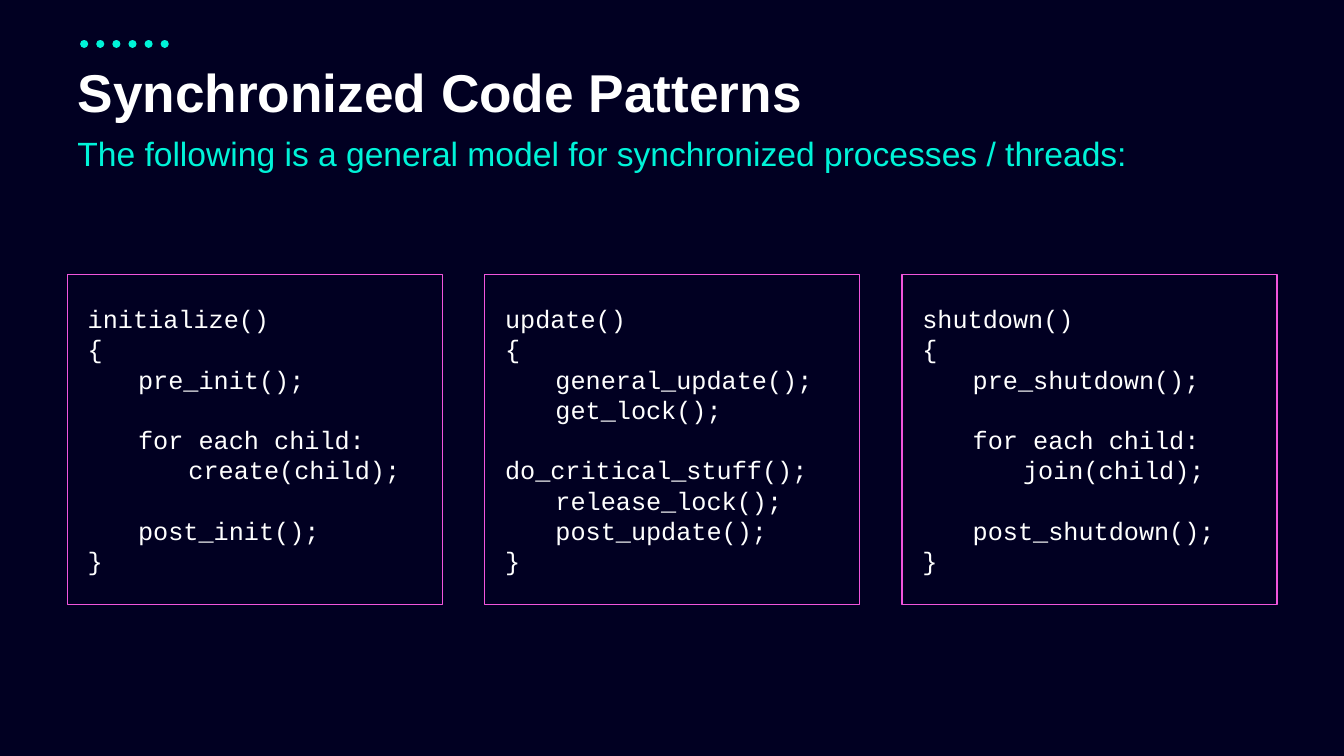
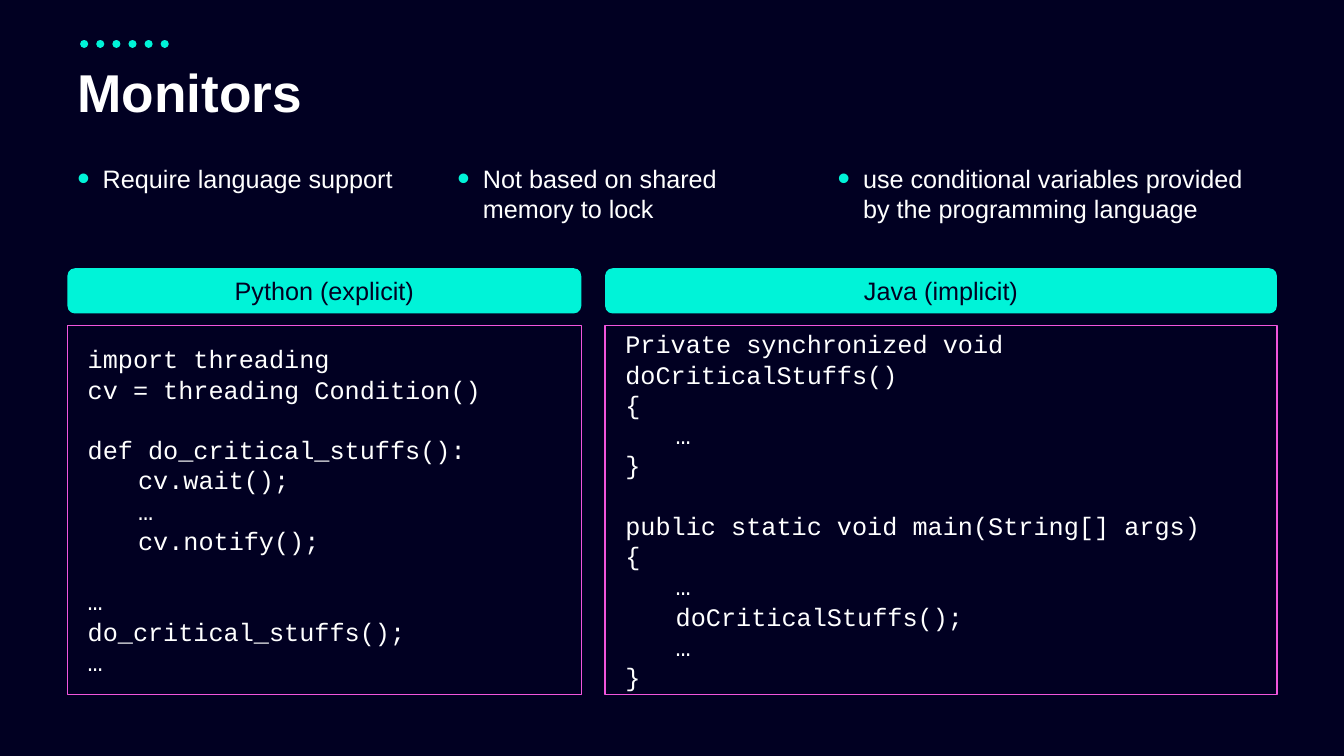
from lxml import etree
from pptx import Presentation
from pptx.dml.color import RGBColor
from pptx.enum import dml, shapes, text
from pptx.oxml import ns
from pptx.util import Cm, Pt

NAVY, TEAL, PINK, WHITE = "010022", "00F3D8", "F155DC", "FFFFFF"
SANS, MONO = "Arial", "Courier New"
LEFT, CONTENT_WIDTH = 1.7, 30.48
TAB_STEP = 1.27

INITIALIZE = """initialize()
{
\tpre_init();

\tfor each child:
\t\tcreate(child);

\tpost_init();
}"""

UPDATE = """update()
{
\tgeneral_update();
\tget_lock();
\tdo_critical_stuff();
\trelease_lock();
\tpost_update();
}"""

SHUTDOWN = """shutdown()
{
\tpre_shutdown();

\tfor each child:
\t\tjoin(child);

\tpost_shutdown();
}"""

PYTHON_MONITOR = """import threading
cv = threading Condition()

def do_critical_stuffs():
\tcv.wait();
\t…
\tcv.notify();

…
do_critical_stuffs();
…"""

JAVA_MONITOR = """Private synchronized void doCriticalStuffs()
{
\t…
}

public static void main(String[] args)
{
\t…
\tdoCriticalStuffs();
\t…
}"""


def color(hex_string):
    return RGBColor.from_string(hex_string)


def add_element(parent, tag, **attributes):
    return etree.SubElement(parent, ns.qn(tag), attributes)


def style(paragraph, size, hex_color, font_name=SANS, bold=False):
    font = paragraph.font
    font.name, font.size, font.bold = font_name, Pt(size), bold
    font.color.rgb = color(hex_color)


def add_dots(slide):
    y = Cm(1.1)
    dots = slide.shapes.add_connector(
        shapes.MSO_CONNECTOR.STRAIGHT, Cm(2.12), y, Cm(4.23), y)
    dots.line.color.rgb = color(TEAL)
    dots.line.width = Pt(5.75)
    dots.line.dash_style = dml.MSO_LINE.ROUND_DOT
    dots.line._get_or_add_ln().set("cap", "rnd")
    add_element(dots._element.spPr, "a:effectLst")


def add_titled_slide(presentation, heading):
    slide = presentation.slides.add_slide(presentation.slide_layouts[5])
    add_dots(slide)
    title = slide.shapes.title
    title.left, title.top = Cm(LEFT), Cm(1.55)
    title.width, title.height = Cm(CONTENT_WIDTH), Cm(1.73)
    frame = title.text_frame
    frame.text = heading
    frame.vertical_anchor = text.MSO_ANCHOR.TOP
    frame.auto_size = text.MSO_AUTO_SIZE.NONE
    paragraph = frame.paragraphs[0]
    paragraph.alignment = text.PP_ALIGN.LEFT
    paragraph.line_spacing = 0.9
    style(paragraph, 38, WHITE, bold=True)
    return slide


def add_text(slide, content, left, top, width, height):
    """Add a wrapping text box and return its only paragraph."""
    box = slide.shapes.add_textbox(Cm(left), Cm(top), Cm(width), Cm(height))
    box.text_frame.word_wrap = True
    box.text_frame.text = content
    return box.text_frame.paragraphs[0]


def add_subtitle(slide, content):
    paragraph = add_text(slide, content, LEFT, 3.33, CONTENT_WIDTH, 1.83)
    paragraph.line_spacing = 0.9
    style(paragraph, 24, TEAL)


def add_bullet(slide, content, left, width):
    paragraph = add_text(slide, content, left, 3.99, width, 1.8)
    properties = paragraph._p.get_or_add_pPr()
    indent = Cm(0.64)
    properties.set("marL", str(indent))
    properties.set("indent", str(-indent))
    bullet_color = add_element(properties, "a:buClr")
    add_element(bullet_color, "a:srgbClr", val=TEAL)
    add_element(properties, "a:buSzPct", val="140000")
    add_element(properties, "a:buFont", typeface=SANS)
    add_element(properties, "a:buChar", char="•")
    style(paragraph, 18, WHITE)


def add_panel(slide, preset, left, top, width, height, fill):
    """Add a filled shape with middle-anchored, wrapping text."""
    panel = slide.shapes.add_shape(
        preset, Cm(left), Cm(top), Cm(width), Cm(height))
    panel.shadow.inherit = False
    panel.fill.solid()
    panel.fill.fore_color.rgb = color(fill)
    panel.text_frame.word_wrap = True
    panel.text_frame.vertical_anchor = text.MSO_ANCHOR.MIDDLE
    return panel


def add_code(slide, code, left, top, width, height):
    panel = add_panel(slide, shapes.MSO_SHAPE.RECTANGLE,
                      left, top, width, height, NAVY)
    panel.line.color.rgb = color(PINK)
    panel.line.width = Pt(1)
    frame = panel.text_frame
    frame.margin_left = frame.margin_right = Cm(0.51)
    frame.margin_top = frame.margin_bottom = Cm(0.51)
    frame.text = code
    for paragraph in frame.paragraphs:
        paragraph.alignment = text.PP_ALIGN.LEFT
        tabs = add_element(paragraph._p.get_or_add_pPr(), "a:tabLst")
        for level in (1, 2):
            add_element(tabs, "a:tab", pos=str(Cm(level * TAB_STEP)), algn="l")
        style(paragraph, 18, WHITE, MONO)


def add_header(slide, label, left, width):
    header = add_panel(slide, shapes.MSO_SHAPE.ROUNDED_RECTANGLE,
                       left, 6.76, width, 1.14, TEAL)
    header.line.fill.background()
    header.text_frame.text = label
    paragraph = header.text_frame.paragraphs[0]
    paragraph.alignment = text.PP_ALIGN.CENTER
    style(paragraph, 18, NAVY)


def build_code_patterns(presentation):
    slide = add_titled_slide(presentation, "Synchronized Code Patterns")
    add_subtitle(slide, "The following is a general model for "
                        "synchronized processes / threads:")
    patterns = (INITIALIZE, UPDATE, SHUTDOWN)
    gap = 1.07
    width = (CONTENT_WIDTH - gap * (len(patterns) - 1)) / len(patterns)
    for column, code in enumerate(patterns):
        add_code(slide, code, LEFT + column * (width + gap), 6.92, width, 8.31)


def build_monitors(presentation):
    slide = add_titled_slide(presentation, "Monitors")
    bullets = (
        ("Require language support", 9.2),
        ("Not based on shared memory to lock", 9.2),
        ("use conditional variables provided by the programming language", 10.9),
    )
    for column, (content, width) in enumerate(bullets):
        add_bullet(slide, content, LEFT + column * 9.58, width)

    gap, python_width = 0.6, 12.95
    java_left = LEFT + python_width + gap
    java_width = CONTENT_WIDTH - python_width - gap
    examples = (
        ("Python (explicit)", PYTHON_MONITOR, LEFT, python_width),
        ("Java (implicit)", JAVA_MONITOR, java_left, java_width),
    )
    for label, code, left, width in examples:
        add_header(slide, label, left, width)
        add_code(slide, code, left, 8.21, width, 9.29)


def main():
    presentation = Presentation()
    presentation.slide_width, presentation.slide_height = Cm(33.87), Cm(19.05)
    background = presentation.slide_master.background.fill
    background.solid()
    background.fore_color.rgb = color(NAVY)
    build_code_patterns(presentation)
    build_monitors(presentation)
    presentation.save("out.pptx")


if __name__ == "__main__":
    main()
